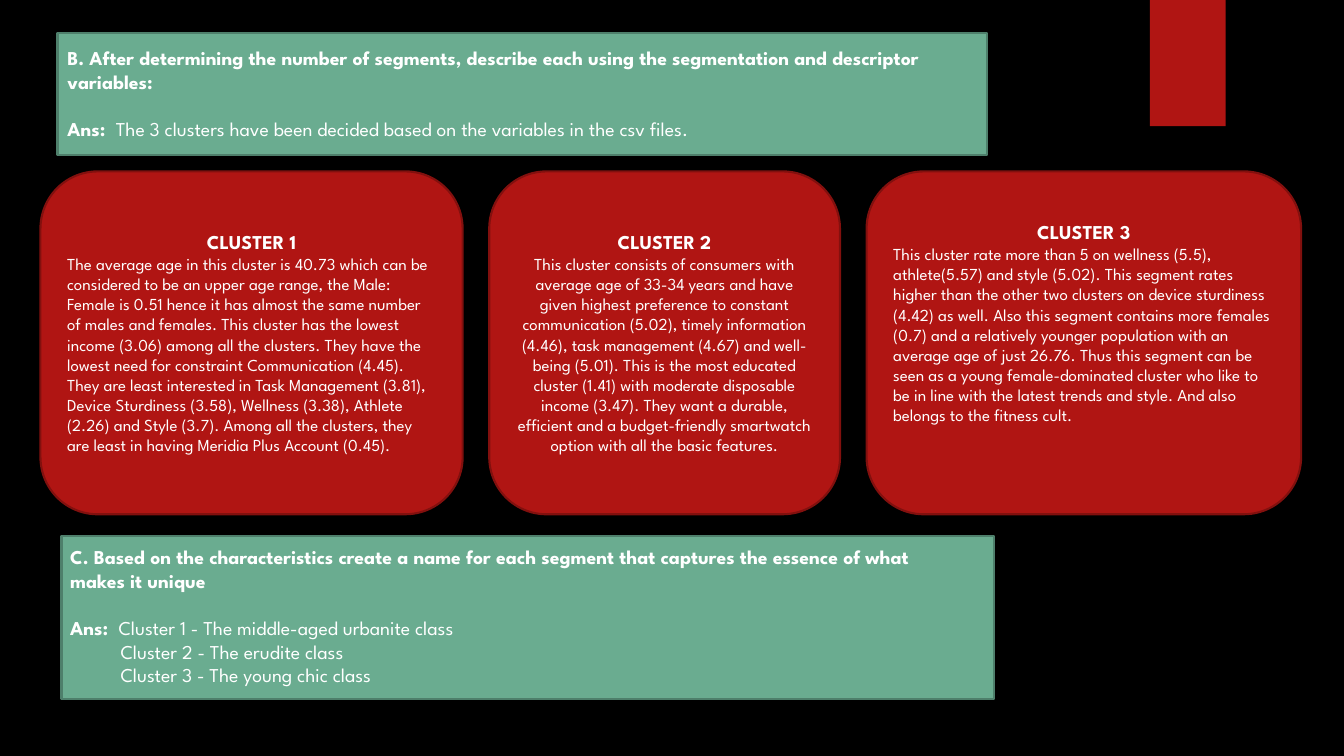
from dataclasses import dataclass

from pptx import Presentation
from pptx import util as u
from pptx.dml.color import RGBColor
from pptx.enum import shapes, text


@dataclass(frozen=True)
class Theme:
    font: str = "League Spartan"
    background: str = "000000"
    ink: str = "FFFFFF"
    red: str = "B01513"
    red_edge: str = "82100E"
    green: str = "6AAC90"
    green_edge: str = "4E7F6B"
    heading_size: int = 14
    body_size: int = 12
    edge_width: float = 1.5
    answer_gap: int = 17


@dataclass(frozen=True)
class Box:
    left: float
    top: float
    width: float
    height: float

    def lengths(self) -> list:
        return [u.Cm(v) for v in (self.left, self.top, self.width, self.height)]


@dataclass(frozen=True)
class Cluster:
    title: str
    description: str
    width: float
    body_align: text.PP_ALIGN = text.PP_ALIGN.LEFT
    bottom_inset: float = 0.13


@dataclass(frozen=True)
class Question:
    wording: str
    answers: tuple[str, ...]
    panel: Box
    words: Box


THEME = Theme()
CLUSTER_LEFT, CLUSTER_TOP, CLUSTER_HEIGHT, CLUSTER_GAP = 1.02, 4.32, 8.64, 0.67
ANSWER_INDENT = 1.27
ACCENT_TAB = Box(28.98, 0, 1.91, 3.18)

CLUSTERS = (
    Cluster(
        "CLUSTER 1",
        "The average age in this cluster is 40.73 which can be considered to be an upper age "
        "range, the Male: Female is 0.51 hence it has almost the same number of males and "
        "females. This cluster has the lowest income (3.06) among all the clusters. They have "
        "the lowest need for constraint Communication (4.45). They are least interested in Task "
        "Management (3.81), Device Sturdiness (3.58), Wellness (3.38), Athlete (2.26) and Style "
        "(3.7). Among all the clusters, they are least in having Meridia Plus Account (0.45).",
        10.64,
    ),
    Cluster(
        "CLUSTER 2",
        "This cluster consists of consumers with average age of 33-34 years and have given "
        "highest preference to constant communication (5.02), timely information (4.46), task "
        "management (4.67) and well-being (5.01). This is the most educated cluster (1.41) with "
        "moderate disposable income (3.47). They want a durable, efficient and a "
        "budget-friendly smartwatch option with all the basic features.",
        8.84,
        body_align=text.PP_ALIGN.CENTER,
    ),
    Cluster(
        "CLUSTER 3",
        "This cluster rate more than 5 on wellness (5.5), athlete(5.57) and style (5.02). This "
        "segment rates higher than the other two clusters on device sturdiness (4.42) as well. "
        "Also this segment contains more females (0.7) and a relatively younger population with "
        "an average age of just 26.76. Thus this segment can be seen as a young "
        "female-dominated cluster who like to be in line with the latest trends and style. And "
        "also belongs to the fitness cult.",
        10.95,
        bottom_inset=1.14,
    ),
)

QUESTIONS = (
    Question(
        "B. After determining the number of segments, describe each using the segmentation and "
        "descriptor variables:",
        ("The 3 clusters have been decided based on the variables in the csv files.",),
        Box(1.45, 0.84, 23.42, 3.07),
        Box(1.45, 1.04, 22.56, 3.07),
    ),
    Question(
        "C. Based on the characteristics create a name for each segment that captures the "
        "essence of what makes it unique",
        (
            "Cluster 1 - The middle-aged urbanite class",
            "Cluster 2 - The erudite class",
            "Cluster 3 - The young chic class",
        ),
        Box(1.55, 13.51, 23.5, 4.11),
        Box(1.52, 13.61, 22.99, 4.45),
    ),
)


def add_block(slide, kind: shapes.MSO_SHAPE, box: Box, fill: str, edge: str | None = None):
    block = slide.shapes.add_shape(kind, *box.lengths())
    block.shadow.inherit = False
    block.fill.solid()
    block.fill.fore_color.rgb = RGBColor.from_string(fill)
    if edge is None:
        block.line.fill.background()
    else:
        block.line.color.rgb = RGBColor.from_string(edge)
        block.line.width = u.Pt(THEME.edge_width)
    return block


def style_run(run, size: int, bold: bool = False) -> None:
    run.font.name = THEME.font
    run.font.size = u.Pt(size)
    run.font.bold = bold
    run.font.color.rgb = RGBColor.from_string(THEME.ink)


def add_cluster(slide, cluster: Cluster, left: float) -> None:
    box = Box(left, CLUSTER_TOP, cluster.width, CLUSTER_HEIGHT)
    card = add_block(slide, shapes.MSO_SHAPE.ROUNDED_RECTANGLE, box, THEME.red, THEME.red_edge)
    frame = card.text_frame
    frame.word_wrap = True
    frame.vertical_anchor = text.MSO_ANCHOR.MIDDLE
    frame.margin_bottom = u.Cm(cluster.bottom_inset)
    frame.text = f"{cluster.title}\n{cluster.description}"
    title, description = frame.paragraphs
    title.alignment = text.PP_ALIGN.CENTER
    description.alignment = cluster.body_align
    style_run(title.runs[0], THEME.heading_size, bold=True)
    style_run(description.runs[0], THEME.body_size)


def add_question(slide, question: Question) -> None:
    """Draw the green panel, the bold question and its answers, later ones indented."""
    add_block(slide, shapes.MSO_SHAPE.RECTANGLE, question.panel, THEME.green, THEME.green_edge)
    frame = slide.shapes.add_textbox(*question.words.lengths()).text_frame
    frame.word_wrap = True
    frame.text = "\n".join((question.wording, "Ans:  ", *question.answers[1:]))
    wording, first_answer, *later_answers = frame.paragraphs
    style_run(wording.runs[0], THEME.heading_size, bold=True)

    first_answer.space_before = u.Pt(THEME.answer_gap)
    style_run(first_answer.runs[0], THEME.heading_size, bold=True)
    answer = first_answer.add_run()
    answer.text = question.answers[0]
    style_run(answer, THEME.heading_size)

    for later in later_answers:
        later._p.get_or_add_pPr().set("marL", str(u.Cm(ANSWER_INDENT)))
        style_run(later.runs[0], THEME.heading_size)


def main() -> None:
    deck = Presentation()
    deck.slide_width, deck.slide_height = u.Cm(33.87), u.Cm(19.05)
    slide = deck.slides.add_slide(deck.slide_layouts[6])
    slide.background.fill.solid()
    slide.background.fill.fore_color.rgb = RGBColor.from_string(THEME.background)

    add_block(slide, shapes.MSO_SHAPE.RECTANGLE, ACCENT_TAB, THEME.red)
    left = CLUSTER_LEFT
    for cluster in CLUSTERS:
        add_cluster(slide, cluster, left)
        left += cluster.width + CLUSTER_GAP
    for question in QUESTIONS:
        add_question(slide, question)
    deck.save("out.pptx")


if __name__ == "__main__":
    main()
